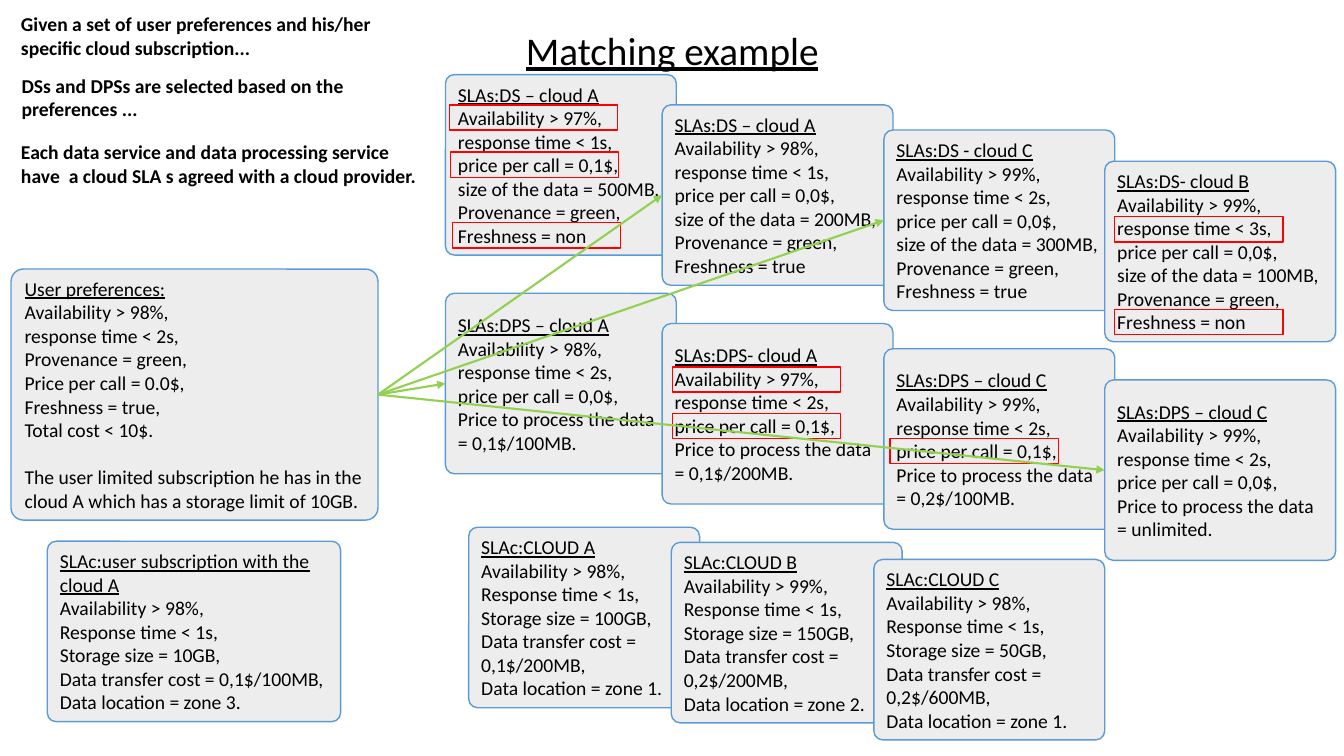
from pptx import Presentation
from pptx import util as u
from pptx.dml.color import RGBColor
from pptx.enum import shapes, text
from pptx.oxml.ns import qn
from lxml import etree

BLACK = RGBColor(0x00, 0x00, 0x00)
CARD_FILL = RGBColor(0xED, 0xED, 0xED)
CARD_LINE = RGBColor(0x5B, 0x9B, 0xD5)
MARK_RED = RGBColor(0xFF, 0x00, 0x00)
ARROW_GREEN = RGBColor(0x92, 0xD0, 0x50)
LEFT_SITE, RIGHT_SITE = 1, 3


class MatchingSlide:
    """Holds the shared style and the slide being built."""
    font = "Calibri"
    body_size = 14
    card_width, card_height = 164.9, 128.9

    def __init__(self, slide):
        self.slide = slide
        self.shapes = slide.shapes

    def style(self, paragraph, size=body_size, bold=False, underline=False):
        for run in paragraph.runs:
            font = run.font
            font.name, font.size = self.font, u.Pt(size)
            font.bold, font.underline = bold, underline
            font.color.rgb = BLACK

    def title(self, wording, left, top, width, height):
        heading = self.shapes.title
        heading.left, heading.top = u.Pt(left), u.Pt(top)
        heading.width, heading.height = u.Pt(width), u.Pt(height)
        frame = heading.text_frame
        frame.text = wording
        frame.vertical_anchor = text.MSO_ANCHOR.MIDDLE
        paragraph = frame.paragraphs[0]
        paragraph.alignment = text.PP_ALIGN.CENTER
        paragraph.line_spacing = 0.9
        self.style(paragraph, size=28, underline=True)

    def note(self, wording, left, top, width, height=41):
        frame = self.shapes.add_textbox(
            u.Pt(left), u.Pt(top), u.Pt(width), u.Pt(height)).text_frame
        frame.word_wrap = True
        frame.auto_size = text.MSO_AUTO_SIZE.SHAPE_TO_FIT_TEXT
        frame.text = wording
        for paragraph in frame.paragraphs:
            self.style(paragraph, bold=True)

    def box(self, preset, left, top, width, height, line):
        outline = self.shapes.add_shape(
            preset, u.Pt(left), u.Pt(top), u.Pt(width), u.Pt(height))
        outline.shadow.inherit = False
        outline.line.color.rgb = line
        outline.line.width = u.Pt(1)
        return outline

    def card(self, heading, terms, left, top, width=card_width, height=card_height):
        card = self.box(shapes.MSO_SHAPE.ROUNDED_RECTANGLE,
                        left, top, width, height, CARD_LINE)
        card.adjustments[0] = 0.049
        card.fill.solid()
        card.fill.fore_color.rgb = CARD_FILL
        frame = card.text_frame
        frame.word_wrap = True
        frame.vertical_anchor = text.MSO_ANCHOR.MIDDLE
        frame.text = "\n".join([heading, *terms])
        for index, paragraph in enumerate(frame.paragraphs):
            paragraph.alignment = text.PP_ALIGN.LEFT
            self.style(paragraph, underline=index == 0)
        return card

    def mark(self, left, top):
        self.box(shapes.MSO_SHAPE.RECTANGLE, left, top, 120.2, 18,
                 MARK_RED).fill.background()

    def arrow(self, source, target):
        arrow = self.shapes.add_connector(shapes.MSO_CONNECTOR.STRAIGHT, 0, 0, 0, 0)
        arrow.begin_connect(source, RIGHT_SITE)
        arrow.end_connect(target, LEFT_SITE)
        arrow.line.color.rgb = ARROW_GREEN
        arrow.line.width = u.Pt(1.5)
        etree.SubElement(arrow.line._get_or_add_ln(), qn("a:tailEnd"), type="triangle")
        etree.SubElement(arrow._element.spPr, qn("a:effectLst"))


# Service columns: left edge and top of the upper card
COLUMNS = [(318.2, 53.3), (473, 74.9), (631.4, 92.9), (789.1, 115.2)]
DPS_DROP = 156.2

# Heading, availability, response time, price, data size, freshness
DATA_SERVICES = [
    ("SLAs:DS – cloud A", 97, 1, "0,1", 500, "non"),
    ("SLAs:DS – cloud A", 98, 1, "0,0", 200, "true"),
    ("SLAs:DS - cloud C", 99, 2, "0,0", 300, "true"),
    ("SLAs:DS- cloud B", 99, 3, "0,0", 100, "non"),
]
# Heading, availability, price per call, processing price
PROCESSING_SERVICES = [
    ("SLAs:DPS – cloud A", 98, "0,0", "0,1$/100MB"),
    ("SLAs:DPS- cloud A", 97, "0,1", "0,1$/200MB"),
    ("SLAs:DPS – cloud C", 99, "0,1", "0,2$/100MB"),
    ("SLAs:DPS – cloud C", 99, "0,0", "unlimited"),
]
# Heading, availability, storage, transfer cost, zone, left, top, width
CLOUD_SLAS = [
    ("SLAc:CLOUD A", 98, 100, "0,1$/200MB", 1, 334.8, 376.6, 164.9),
    ("SLAc:user subscription with the cloud A", 98, 10, "0,1$/100MB", 3,
     33.8, 386.6, 209.5),
    ("SLAc:CLOUD B", 99, 150, "0,2$/200MB", 2, 479.5, 387.4, 164.9),
    ("SLAc:CLOUD C", 98, 50, "0,2$/600MB", 1, 624.2, 399.6, 164.9),
]
UNMET_TERMS = [(321.1, 74.9), (321.8, 108.7), (323.3, 159.1),
               (796.3, 154.8), (796.3, 221), (480.2, 262.1),
               (480.2, 295.2), (635.8, 313.2)]
NOTES = [
    ("Given a set of user preferences and his/her specific cloud subscription...",
     7.9, 5, 309.6),
    ("DSs and DPSs are selected based on the\npreferences ...", 8.3, 49, 303.1),
    ("Each data service and data processing service have  a cloud SLA s agreed "
     "with a cloud provider.", 7.9, 96.5, 303.1),
]


def main():
    deck = Presentation()
    deck.slide_width, deck.slide_height = u.Pt(960), u.Pt(540)
    page = MatchingSlide(deck.slides.add_slide(deck.slide_layouts[5]))
    page.title("Matching example", 66.2, 13, 828, 49)

    # User preferences
    preferences = page.card("User preferences:", [
        "Availability > 98%,", "response time < 2s,", "Provenance = green,",
        "Price per call = 0.0$,", "Freshness = true,", "Total cost < 10$.",
        "The user limited subscription he has in the cloud A which has "
        "a storage limit of 10GB."], 7.9, 192.2, 262.1, 179.3)
    preferences.text_frame.paragraphs[-1].space_before = u.Pt(17)

    # Data services
    data_cards = [
        page.card(heading, [
            f"Availability > {availability}%,", f"response time < {seconds}s,",
            f"price per call = {price}$,", f"size of the data = {size}MB,",
            "Provenance = green,", f"Freshness = {fresh}"], left, top)
        for (heading, availability, seconds, price, size, fresh), (left, top)
        in zip(DATA_SERVICES, COLUMNS)]

    # Data processing services
    processing_cards = [
        page.card(heading, [
            f"Availability > {availability}%,", "response time < 2s,",
            f"price per call = {price}$,",
            f"Price to process the data = {processing}."], left, top + DPS_DROP)
        for (heading, availability, price, processing), (left, top)
        in zip(PROCESSING_SERVICES, COLUMNS)]

    # Terms that miss the preferences
    for left, top in UNMET_TERMS:
        page.mark(left, top)

    # Matches
    for match in (data_cards[1], data_cards[2],
                  processing_cards[0], processing_cards[3]):
        page.arrow(preferences, match)

    # Cloud agreements
    for heading, availability, storage, transfer, zone, left, top, width in CLOUD_SLAS:
        page.card(heading, [
            f"Availability > {availability}%,", "Response time < 1s,",
            f"Storage size = {storage}GB,", f"Data transfer cost = {transfer},",
            f"Data location = zone {zone}."], left, top, width)

    # Explanations
    for wording, left, top, width in NOTES:
        page.note(wording, left, top, width)

    deck.save("out.pptx")


if __name__ == "__main__":
    main()
